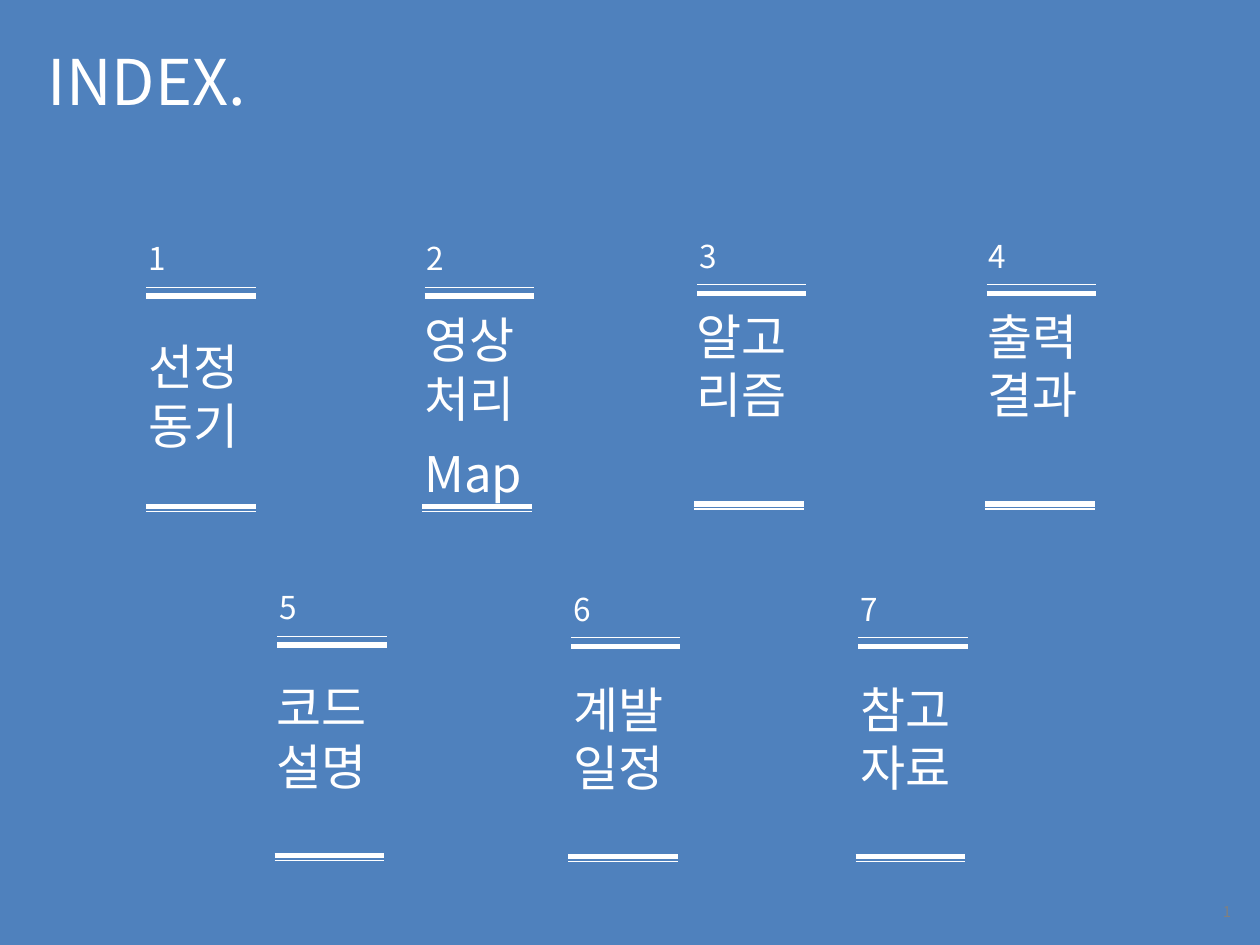
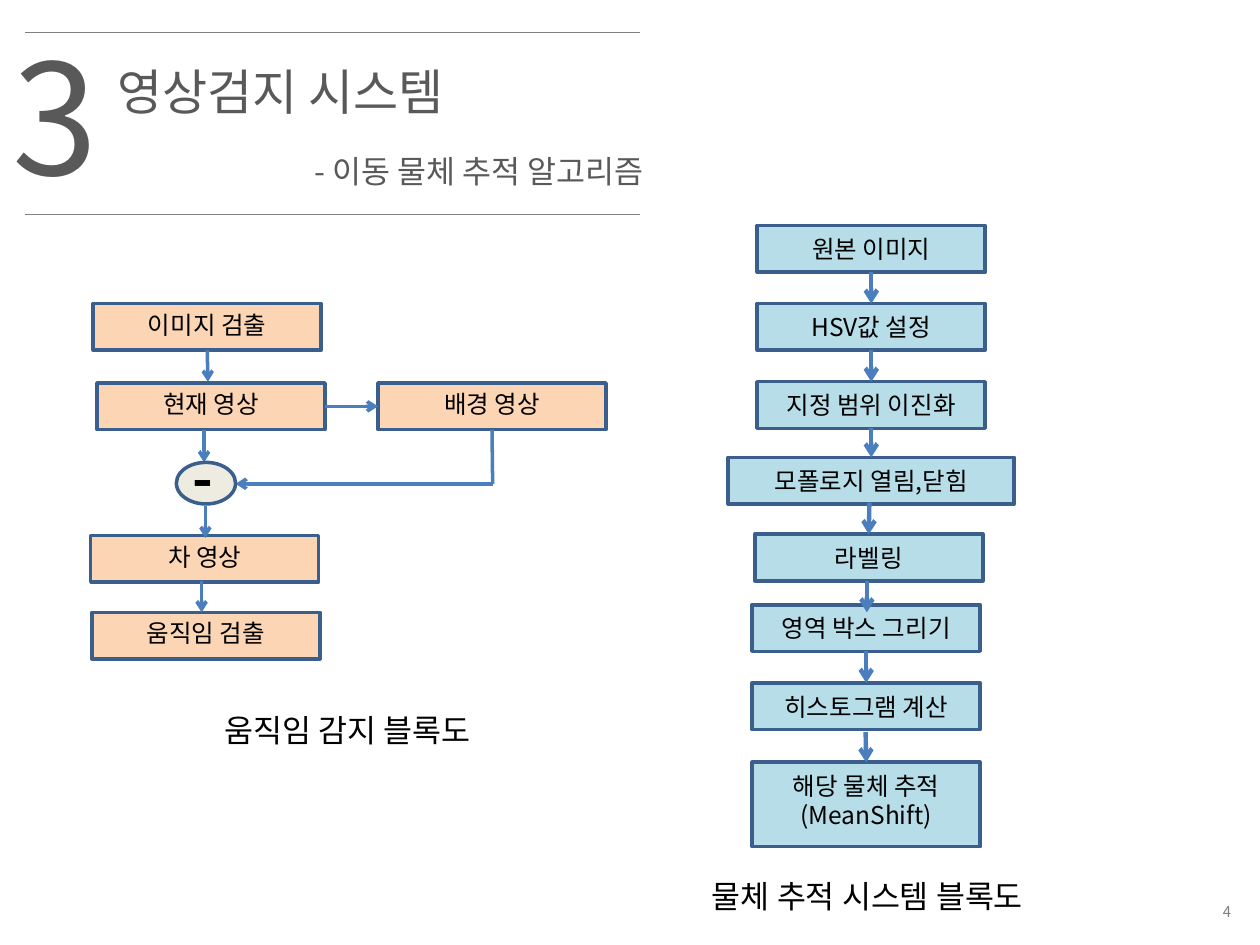
from dataclasses import dataclass

from lxml import etree
from pptx import Presentation
from pptx.dml.color import RGBColor
from pptx.enum.shapes import MSO_CONNECTOR, MSO_SHAPE
from pptx.enum.text import MSO_ANCHOR, MSO_AUTO_SIZE, PP_ALIGN
from pptx.oxml.ns import qn
from pptx.util import Emu, Pt

RECT, OVAL = MSO_SHAPE.RECTANGLE, MSO_SHAPE.OVAL
STRAIGHT = MSO_CONNECTOR.STRAIGHT
LEFT, CENTER, RIGHT = PP_ALIGN.LEFT, PP_ALIGN.CENTER, PP_ALIGN.RIGHT
TOP, MIDDLE = MSO_ANCHOR.TOP, MSO_ANCHOR.MIDDLE
GROW, FIXED = MSO_AUTO_SIZE.SHAPE_TO_FIT_TEXT, MSO_AUTO_SIZE.NONE

SCALE = 9144
FONT = "Noto Sans CJK KR"
TITLE_ONLY = 5
HEX = {
    "blue": "4F81BD", "white": "FFFFFF", "black": "000000",
    "dark": "595959", "gray": "808080", "edge": "3A5F8C",
    "arrow": "4B7EBC", "sky": "B7DEE8", "peach": "FCD5B5", "cream": "EEECE1",
}


@dataclass
class Card:
    num: str
    lines: tuple[str, ...]
    x: int
    y: int
    drop: int
    shift: int = 8
    slip: int = 2
    gap: int = 0


@dataclass
class Step:
    lines: tuple[str, ...]
    x: int
    y: int
    w: int = 181
    h: int = 37


@dataclass
class Link:
    x1: int
    y1: int
    x2: int
    y2: int
    head: bool = True


CARDS = [
    Card("1", ("선정", "동기"), 116, 228, 34, slip=0),
    Card("2", ("영상", "처리", "Map"), 337, 228, 13, shift=10, gap=9),
    Card("3", ("알고", "리즘"), 553, 226, 12, shift=10),
    Card("4", ("출력", "결과"), 783, 226, 12, shift=9, slip=1),
    Card("5", ("코드", "설명"), 220, 505, 28, shift=10),
    Card("6", ("계발", "일정"), 453, 506, 28),
    Card("7", ("참고", "자료"), 681, 506, 28),
]

TRACK = [
    Step(("원본 이미지",), 601, 179),
    Step(("HSV값 설정",), 601, 241),
    Step(("지정 범위 이진화",), 601, 303),
    Step(("모폴로지 열림,닫힘",), 578, 363, w=227),
    Step(("라벨링",), 599, 424),
    Step(("영역 박스 그리기",), 597, 480),
    Step(("히스토그램 계산",), 597, 542),
    Step(("해당 물체 추적", "(MeanShift)"), 597, 605, h=67),
]
TRACK_LINKS = [
    Link(x, y, x, y + 25)
    for x, y in [(692, 216), (692, 278), (692, 339), (690, 399),
                 (688, 461), (687, 517), (687, 581)]
]

MOTION = [
    Step(("이미지 검출",), 74, 241),
    Step(("현재 영상",), 77, 304),
    Step(("배경 영상",), 300, 304),
    Step(("차 영상",), 72, 425),
    Step(("움직임 검출",), 73, 486),
]
MOTION_LINKS = [
    Link(165, 277, 165, 303),
    Link(162, 341, 162, 367),
    Link(258, 323, 300, 323),
    Link(391, 384, 187, 384),
    Link(391, 384, 391, 341, head=False),
    Link(163, 402, 163, 427),
    Link(160, 461, 160, 486),
]


def px(*nums: float) -> list[Emu]:
    return [Emu(round(n * SCALE)) for n in nums]


def rgb(name: str) -> RGBColor:
    return RGBColor.from_string(HEX[name])


def write(shape, lines, *, size=14.0, color="black", align=LEFT, anchor=TOP,
          bold=False, gap=0, fit=GROW) -> None:
    frame = shape.text_frame
    frame.word_wrap = True
    frame.auto_size = fit
    frame.vertical_anchor = anchor
    for i, line in enumerate(lines):
        para = frame.add_paragraph() if i else frame.paragraphs[0]
        para.alignment = align
        if gap and i == len(lines) - 1:
            para.space_before = Pt(gap)
        run = para.add_run()
        run.text = line
        run.font.size = Pt(size)
        run.font.bold = bold
        run.font.color.rgb = rgb(color)
        run.font.name = FONT
        props = run._r.get_or_add_rPr()
        etree.SubElement(props, qn("a:ea")).set("typeface", FONT)


def label(slide, lines, x: int, y: int, w: int, h: int, **style) -> None:
    write(slide.shapes.add_textbox(*px(x, y, w, h)), lines, **style)


def start(deck, back: str, title: str, area, page: str, **style):
    slide = deck.slides.add_slide(deck.slide_layouts[TITLE_ONLY])
    slide.background.fill.solid()
    slide.background.fill.fore_color.rgb = rgb(back)
    head = slide.shapes.title
    head.left, head.top, head.width, head.height = px(*area)
    write(head, [title], **style)
    label(slide, [page], 776, 710, 211, 27, size=8.5, color="gray",
          align=RIGHT, anchor=MIDDLE, fit=FIXED)
    return slide


def rule(slide, x1: int, y1: int, x2: int, y2: int, color: str, width: float):
    line = slide.shapes.add_connector(STRAIGHT, *px(x1, y1, x2, y2))
    line.line.color.rgb = rgb(color)
    line.line.width = Pt(width)
    etree.SubElement(line._element.spPr, qn("a:effectLst"))
    return line


def block(slide, kind, x: int, y: int, w: int, h: int, fill: str):
    shape = slide.shapes.add_shape(kind, *px(x, y, w, h))
    shape.shadow.inherit = False
    shape.fill.solid()
    shape.fill.fore_color.rgb = rgb(fill)
    shape.line.color.rgb = rgb("edge")
    shape.line.width = Pt(2)
    return shape


def snap(hook, x: int, y: int, steps, boxes) -> None:
    for step, box in zip(steps, boxes):
        midx, midy = step.x + step.w / 2, step.y + step.h / 2
        sides = [(midx, step.y), (step.x, midy),
                 (midx, step.y + step.h), (step.x + step.w, midy)]
        for site, (sx, sy) in enumerate(sides):
            if abs(sx - x) <= 1 and abs(sy - y) <= 1:
                hook(box, site)


def flow(slide, steps, links, fill: str, width: float, inset: int,
         drop: int) -> None:
    boxes = []
    for step in steps:
        boxes.append(block(slide, RECT, step.x, step.y, step.w, step.h, fill))
        label(slide, step.lines, step.x + inset, step.y + drop,
              step.w - 2 * inset, 34, align=CENTER)
    for link in links:
        line = rule(slide, link.x1, link.y1, link.x2, link.y2, "arrow", width)
        snap(line.begin_connect, link.x1, link.y1, steps, boxes)
        snap(line.end_connect, link.x2, link.y2, steps, boxes)
        if link.head:
            ln = line.line._get_or_add_ln()
            etree.SubElement(ln, qn("a:tailEnd")).set("type", "arrow")


def draw_card(slide, card: Card) -> None:
    low = card.x - card.slip
    label(slide, [card.num], card.x - 8, card.y - 43, 126, 40,
          size=18, color="white")
    label(slide, card.lines, card.x - card.shift, card.y + card.drop, 126, 104,
          size=28, color="white", gap=card.gap)
    for x, down, width in [(card.x, 0, 0.75), (card.x, 7, 3),
                           (low, 174, 3), (low, 178, 0.75)]:
        y = card.y + down
        rule(slide, x, y, x + 87, y, "white", width)


def index(deck) -> None:
    slide = start(deck, "blue", "INDEX.", (28, 29, 339, 71), "1",
                  size=36, color="white")
    for card in CARDS:
        draw_card(slide, card)


def system(deck) -> None:
    slide = start(deck, "white", "영상검지 시스템", (83, 44, 449, 57), "4",
                  size=28, color="dark")
    for y in (26, 170):
        rule(slide, 20, y, 508, y, "gray", 0.75)
    label(slide, ["3"], 0, 12, 118, 158, size=88, color="dark")
    label(slide, ["- 이동 물체 추적 알고리즘"], 240, 116, 449, 40,
          size=18, color="dark")
    flow(slide, TRACK, TRACK_LINKS, "sky", 2.5, 0, 2)
    flow(slide, MOTION, MOTION_LINKS, "peach", 2, 24, 0)
    block(slide, OVAL, 140, 367, 47, 33, "cream")
    label(slide, ["-"], 143, 347, 39, 64, size=32, bold=True)
    for name, x, y in [("물체 추적 시스템 블록도", 548, 691),
                       ("움직임 감지 블록도", 135, 559)]:
        label(slide, [name], x, y, 281, 40, size=18, align=CENTER)


def main() -> None:
    deck = Presentation()
    deck.slide_width, deck.slide_height = px(1000, 750)
    index(deck)
    system(deck)
    deck.save("out.pptx")


if __name__ == "__main__":
    main()
